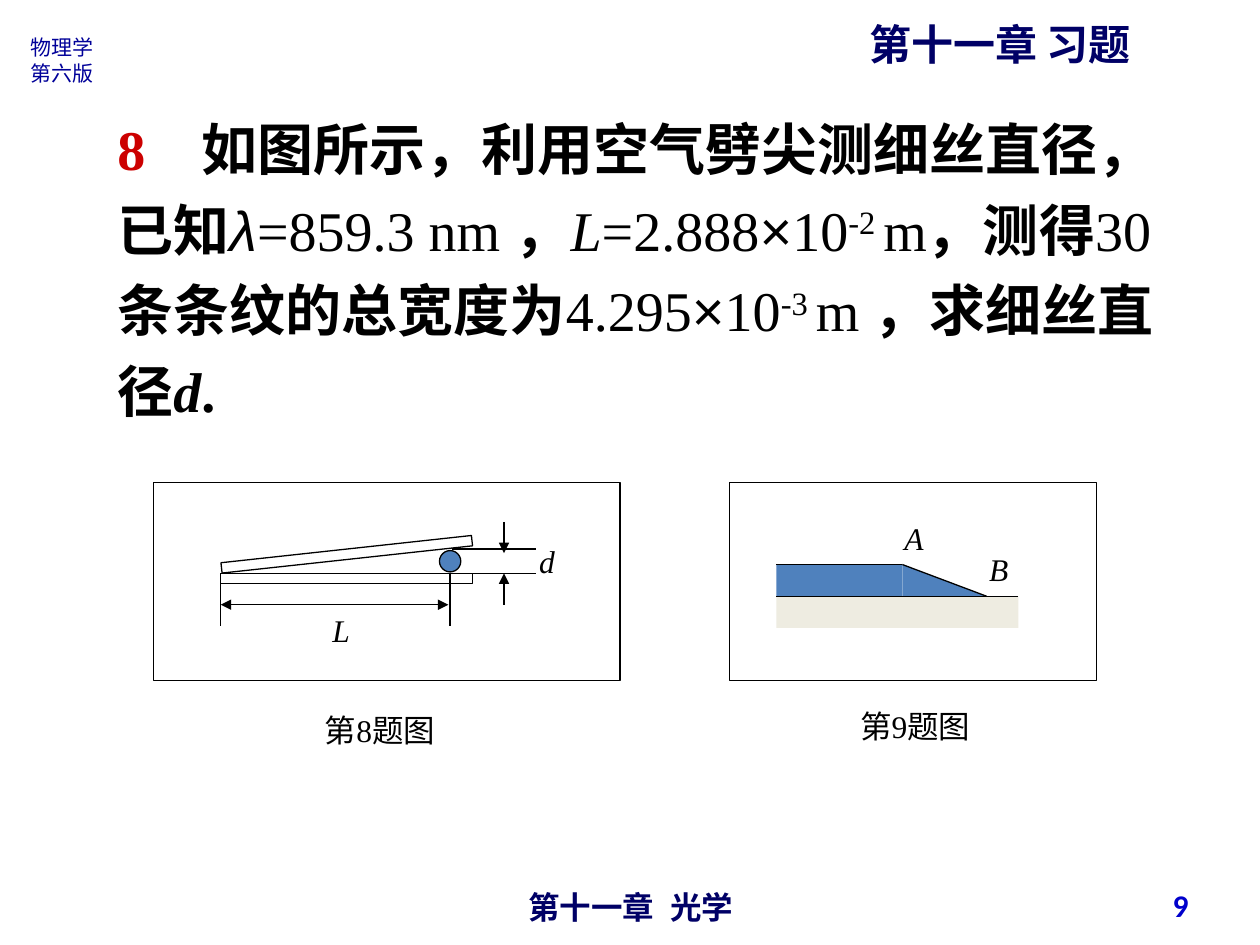
from pptx import Presentation
from pptx.dml.color import RGBColor
from pptx.enum.shapes import MSO_CONNECTOR, MSO_SHAPE
from pptx.enum.text import MSO_ANCHOR, MSO_AUTO_SIZE, PP_ALIGN
from pptx.oxml.ns import qn
from pptx.util import Cm, Pt
from lxml import etree

STRAIGHT = MSO_CONNECTOR.STRAIGHT
RECTANGLE, OVAL, TRIANGLE = MSO_SHAPE.RECTANGLE, MSO_SHAPE.OVAL, MSO_SHAPE.RIGHT_TRIANGLE
TOP, MIDDLE = MSO_ANCHOR.TOP, MSO_ANCHOR.MIDDLE
LEFT, CENTER, RIGHT = PP_ALIGN.LEFT, PP_ALIGN.CENTER, PP_ALIGN.RIGHT
NO_FIT = MSO_AUTO_SIZE.NONE

BLACK = RGBColor(0x00, 0x00, 0x00)
RED = RGBColor(0xCC, 0x00, 0x00)
NAVY = RGBColor(0x00, 0x00, 0x66)
INDIGO = RGBColor(0x00, 0x00, 0x99)
BLUE = RGBColor(0x00, 0x00, 0xCC)
GLASS = RGBColor(0x4F, 0x81, 0xBD)
SAND = RGBColor(0xEE, 0xEC, 0xE1)

SERIF, SANS, CHINESE = "Times New Roman", "Arial", "Noto Sans CJK SC"
LINE_WIDTH = Pt(0.74)

PROBLEM = [
    ("8\u3000", SERIF, "b", RED),
    ("如图所示，利用空气劈尖测细丝直径，已知", SERIF, "b", BLACK),
    ("λ", SANS, "i", BLACK),
    ("=859.3 nm ", SERIF, "", BLACK),
    ("，", CHINESE, "b", BLACK),
    ("L", SERIF, "i", BLACK),
    ("=2.888", SERIF, "", BLACK),
    ("×", SANS, "", BLACK),
    ("10", SERIF, "", BLACK),
    ("-2 ", SERIF, "^", BLACK),
    ("m", SERIF, "", BLACK),
    ("，", CHINESE, "b", BLACK),
    ("测得", SERIF, "b", BLACK),
    ("30", SERIF, "", BLACK),
    ("条条纹的总宽度为", SERIF, "b", BLACK),
    ("4.295", SERIF, "", BLACK),
    ("×", SANS, "", BLACK),
    ("10", SERIF, "", BLACK),
    ("-3 ", SERIF, "^", BLACK),
    ("m ", SERIF, "", BLACK),
    ("，", CHINESE, "b", BLACK),
    ("求细丝直径", SERIF, "b", BLACK),
    ("d", SERIF, "bi", BLACK),
    (".", SERIF, "b", BLACK),
]


def place(shape, left, top, width, height):
    shape.left, shape.top = Cm(left), Cm(top)
    shape.width, shape.height = Cm(width), Cm(height)


def write_runs(paragraph, runs, size):
    for text, font_name, style, color in runs:
        run = paragraph.add_run()
        run.text = text
        run.font.name = font_name
        run.font.size = Pt(size)
        run.font.bold = "b" in style
        run.font.italic = "i" in style
        run.font.color.rgb = color
        if "^" in style:
            run.font._element.set("baseline", "30000")


def fill_text(shape, paragraphs, size, align=LEFT, anchor=TOP):
    frame = shape.text_frame
    frame.word_wrap = True
    frame.auto_size = NO_FIT
    frame.vertical_anchor = anchor
    for index, runs in enumerate(paragraphs):
        paragraph = frame.add_paragraph() if index else frame.paragraphs[0]
        paragraph.alignment = align
        paragraph.space_before = Pt(0)
        write_runs(paragraph, runs, size)


def add_text(shapes, box, paragraphs, size, align=LEFT, anchor=TOP):
    shape = shapes.add_textbox(*map(Cm, box))
    fill_text(shape, paragraphs, size, align, anchor)


def add_label(shapes, text, left, top):
    add_text(shapes, (left, top, 1.2, 1.02), [[(text, SERIF, "i", BLACK)]], 18)


def add_figure_shape(shapes, kind, box, fill=None, outlined=True):
    shape = shapes.add_shape(kind, *map(Cm, box))
    shape.shadow.inherit = False
    if fill is None:
        shape.fill.background()
    else:
        shape.fill.solid()
        shape.fill.fore_color.rgb = fill
    if outlined:
        shape.line.color.rgb = BLACK
        shape.line.width = LINE_WIDTH
    else:
        shape.line.fill.background()
    return shape


def add_line(shapes, x1, y1, x2, y2, arrows=()):
    line = shapes.add_connector(STRAIGHT, Cm(x1), Cm(y1), Cm(x2), Cm(y2))
    line.line.color.rgb = BLACK
    line.line.width = LINE_WIDTH
    outline = line.line._get_or_add_ln()
    for end in arrows:
        etree.SubElement(outline, qn("a:" + end), type="triangle")
    etree.SubElement(line._element.spPr, qn("a:effectLst"))


def add_wedge_figure(slide):
    shapes = slide.shapes.add_group_shape().shapes
    left, wire, gauge, bottom, top = 4.45, 9.07, 10.16, 11.56, 11.07
    add_figure_shape(shapes, RECTANGLE, (left, bottom, 5.08, 0.21))
    add_figure_shape(shapes, OVAL, (8.86, 11.1, 0.43, 0.43), GLASS)
    slab = add_figure_shape(shapes, RECTANGLE, (left, 11.07, 5.08, 0.21))
    slab.rotation = 353.8
    for x in (left, wire):
        add_line(shapes, x, bottom, x, 12.62)
    add_line(shapes, left, 12.19, 9.04, 12.19, ("headEnd", "tailEnd"))
    for y in (top, bottom):
        add_line(shapes, 9.12, y, 10.8, y)
    add_line(shapes, gauge, 12.19, gauge, bottom, ("tailEnd",))
    add_line(shapes, gauge, 10.52, gauge, 11.15, ("tailEnd",))
    add_label(shapes, "L", 6.45, 12.19)
    add_label(shapes, "d", 10.62, 10.8)
    add_figure_shape(shapes, RECTANGLE, (3.1, 9.73, 9.4, 3.99))


def add_film_figure(slide):
    shapes = slide.shapes.add_group_shape().shapes
    left, edge, tip, top, bottom, thickness = 15.65, 18.19, 19.89, 11.38, 12.02, 0.64
    add_figure_shape(shapes, RECTANGLE, (left, bottom, 4.88, thickness), SAND, False)
    add_figure_shape(shapes, RECTANGLE, (left, top, edge - left, thickness), GLASS, False)
    add_figure_shape(shapes, TRIANGLE, (edge, top, tip - edge, thickness), GLASS, False)
    add_line(shapes, left, top, edge, top)
    add_line(shapes, edge, top, tip, bottom)
    add_line(shapes, left, bottom, 20.53, bottom)
    add_label(shapes, "A", 17.98, 10.34)
    add_label(shapes, "B", 19.69, 10.97)
    add_figure_shape(shapes, RECTANGLE, (14.71, 9.73, 7.39, 3.99))


def add_caption(slide, number, box):
    runs = [("第", SANS, "", BLACK), (number, SERIF, "", BLACK), ("题图", SANS, "", BLACK)]
    add_text(slide.shapes, box, [runs], 18)


def add_problem(slide):
    body = slide.placeholders[1]
    place(body, 2.11, 1.91, 22.02, 6.76)
    fill_text(body, [PROBLEM], 32, LEFT, MIDDLE)
    paragraph = body.text_frame.paragraphs[0]
    paragraph.line_spacing = 1.2
    properties = paragraph._p.get_or_add_pPr()
    properties.set("marL", "0")
    properties.set("indent", "0")
    etree.SubElement(properties, qn("a:buNone"))


def main():
    presentation = Presentation()
    presentation.slide_width, presentation.slide_height = Cm(25.4), Cm(19.05)
    slide = presentation.slides.add_slide(presentation.slide_layouts[1])
    title = slide.shapes.title
    place(title, 17.27, 0.25, 6.35, 1.27)
    fill_text(title, [[("第十一章 习题", CHINESE, "b", NAVY)]], 24)
    edition = [[(text, CHINESE, "", INDIGO)] for text in ("物理学", "第六版")]
    add_text(slide.shapes, (0.36, 0.58, 1.83, 1.27), edition, 12)
    add_text(slide.shapes, (8.69, 17.78, 8.05, 0.74),
             [[("第十一章\u2002光学", SANS, "b", NAVY)]], 18, CENTER)
    add_text(slide.shapes, (18.29, 17.73, 5.92, 1.02),
             [[("9", "Calibri", "b", BLUE)]], 18, RIGHT, MIDDLE)
    add_problem(slide)
    add_wedge_figure(slide)
    add_film_figure(slide)
    add_caption(slide, "8", (6.3, 14.2, 3.4, 1.02))
    add_caption(slide, "9", (17.09, 14.12, 2.79, 1.78))
    presentation.save("out.pptx")


main()
